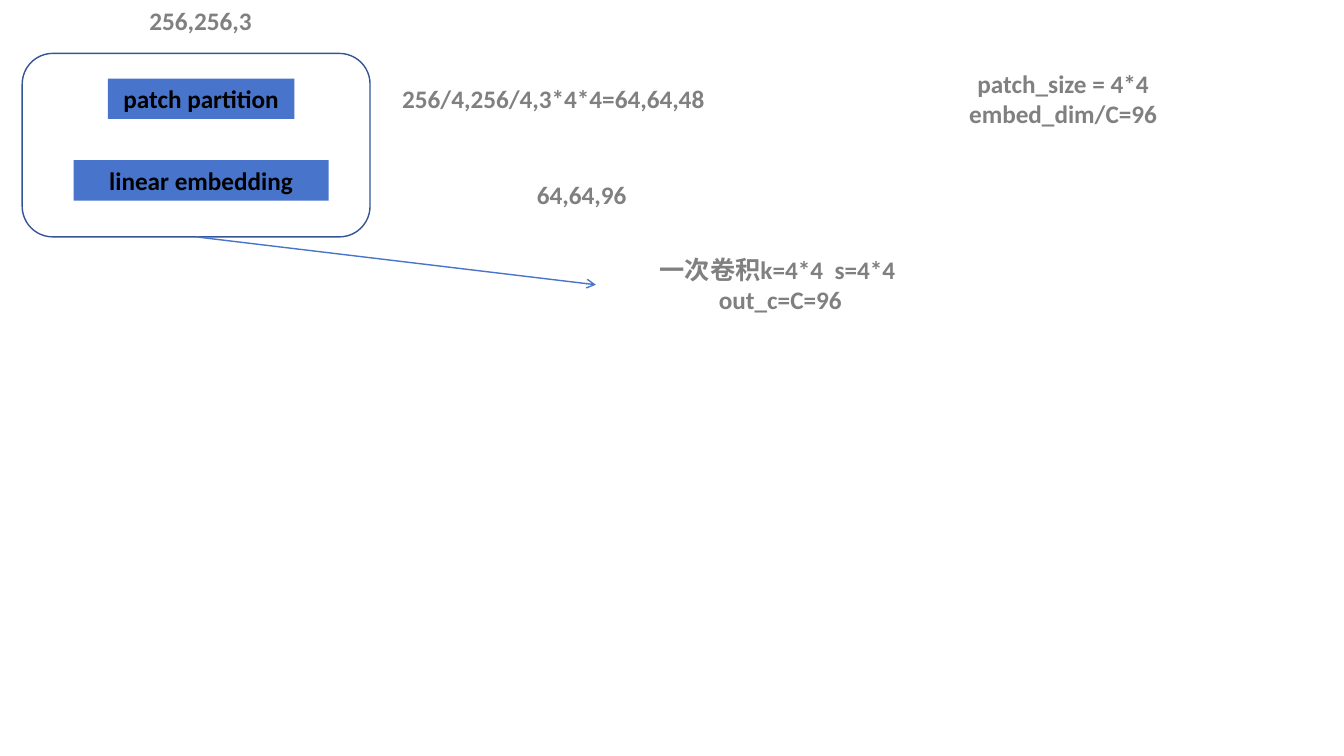
"""Build a slide on patch partition and linear embedding with tensor shapes."""
from lxml import etree
from pptx import Presentation
from pptx.dml.color import RGBColor
from pptx.enum.shapes import MSO_CONNECTOR, MSO_SHAPE
from pptx.enum.text import MSO_ANCHOR, PP_ALIGN
from pptx.oxml.ns import qn
from pptx.util import Inches, Pt

RECT = MSO_SHAPE.RECTANGLE
ROUNDED = MSO_SHAPE.ROUNDED_RECTANGLE
STRAIGHT = MSO_CONNECTOR.STRAIGHT
MIDDLE = MSO_ANCHOR.MIDDLE
TOP = MSO_ANCHOR.TOP
CENTER = PP_ALIGN.CENTER
BLUE, GRAY, BLACK = "4874CB", "808080", "000000"


def rgb(value):
    return RGBColor.from_string(value)


def write(shape, text, color, anchor):
    tf = shape.text_frame
    tf.word_wrap = True
    tf.vertical_anchor = anchor
    tf.text = text
    for p in tf.paragraphs:
        p.alignment = CENTER
        for r in p.runs:
            r.font.name = "Calibri"
            r.font.size = Pt(18)
            r.font.bold = True
            r.font.color.rgb = rgb(color)


prs = Presentation()
prs.slide_width = Inches(13.33)
prs.slide_height = Inches(7.5)
s = prs.slides.add_slide(prs.slide_layouts[6])

stage = s.shapes.add_shape(ROUNDED, Inches(0.22), Inches(0.53), Inches(3.45), Inches(1.82))
stage.shadow.inherit = False
stage.fill.solid()
stage.fill.fore_color.rgb = rgb("FFFFFF")
stage.line.color.rgb = rgb("355696")
stage.line.width = Pt(1)

steps = [
    ("patch partition", 1.07, 0.78, 1.85),
    ("linear embedding", 0.73, 1.59, 2.53),
]
for text, x, y, w in steps:
    sp = s.shapes.add_shape(RECT, Inches(x), Inches(y), Inches(w), Inches(0.4))
    sp.shadow.inherit = False
    sp.fill.solid()
    sp.fill.fore_color.rgb = rgb(BLUE)
    sp.line.fill.background()
    write(sp, text, BLACK, MIDDLE)

labels = [
    ("256,256,3", 1.35, 0, 1.28, 0.4),
    ("256/4,256/4,3*4*4=64,64,48", 3.66, 0.78, 3.66, 0.4),
    ("64,64,96", 3.94, 1.73, 3.66, 0.4),
    ("patch_size = 4*4\nembed_dim/C=96", 8.96, 0.63, 3.17, 0.71),
    ("一次卷积k=4*4  s=4*4  out_c=C=96", 5.91, 2.47, 3.66, 0.71),
]
for text, x, y, w, h in labels:
    label = s.shapes.add_textbox(Inches(x), Inches(y), Inches(w), Inches(h))
    write(label, text, GRAY, TOP)

convolution = label
arrow = s.shapes.add_connector(STRAIGHT, Inches(1.94), Inches(2.35), Inches(5.91), Inches(2.83))
arrow.begin_connect(stage, 2)
arrow.end_connect(convolution, 1)
arrow.line.color.rgb = rgb(BLUE)
arrow.line.width = Pt(1)
etree.SubElement(arrow.line._get_or_add_ln(), qn("a:tailEnd"), type="arrow")
etree.SubElement(arrow._element.spPr, qn("a:effectLst"))

prs.save("out.pptx")
